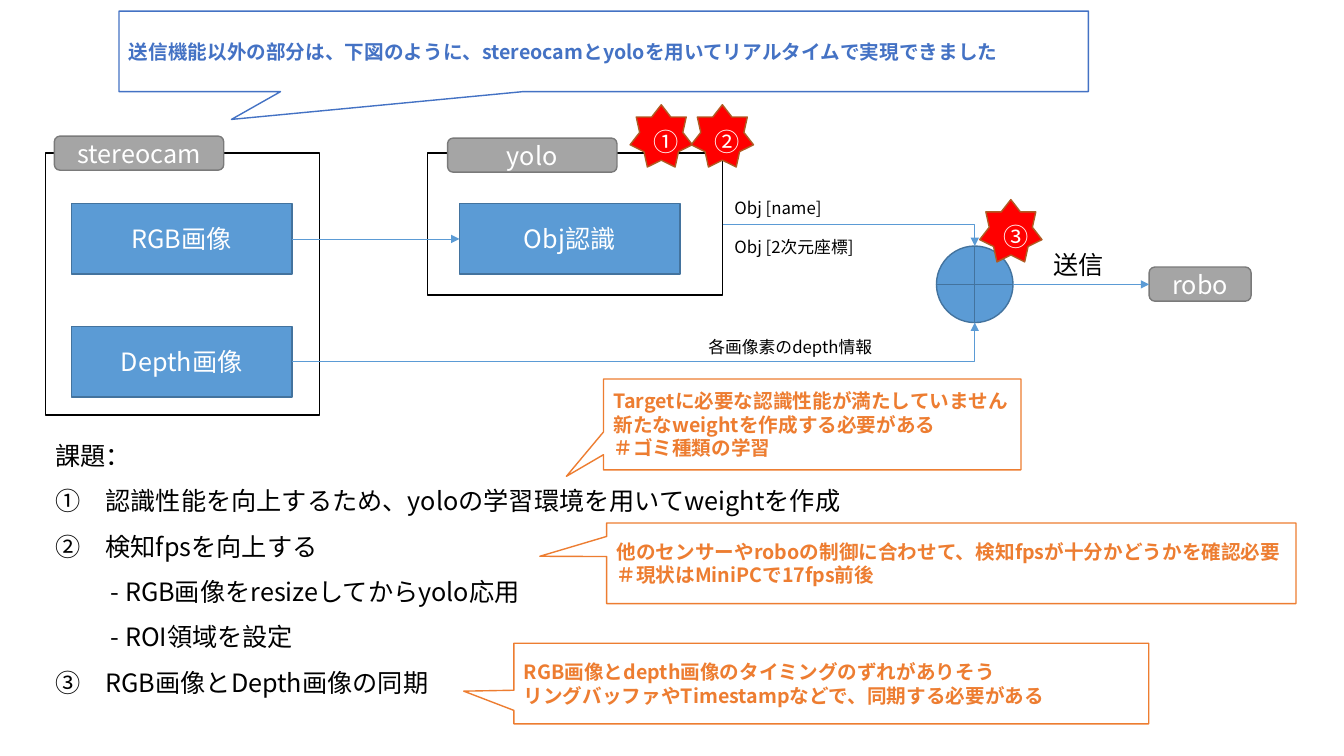
from pptx import Presentation
from pptx.dml.color import RGBColor
from pptx.enum.shapes import MSO_CONNECTOR, MSO_SHAPE
from pptx.enum.text import MSO_ANCHOR, PP_ALIGN
from pptx.oxml.ns import qn
from pptx.util import Cm, Pt
from lxml.etree import SubElement

FONT = "Noto Sans CJK JP"
BLACK = RGBColor(0, 0, 0)
WHITE = RGBColor(255, 255, 255)
GRAY = RGBColor(0xA5, 0xA5, 0xA5)
STEEL = RGBColor(0x7A, 0x7A, 0x7A)
SKY = RGBColor(0x5B, 0x9B, 0xD5)
NAVY = RGBColor(0x43, 0x73, 0x9E)
RED = RGBColor(255, 0, 0)
BROWN = RGBColor(0xAF, 0x5C, 0x24)
AMBER = RGBColor(0xED, 0x7D, 0x31)
BLUE = RGBColor(0x44, 0x72, 0xC4)

FRAMES = [(1.14, 3.86, 6.91, 6.6), (10.77, 3.86, 7.44, 3.58)]
TAGS = [
    ("stereocam", 1.37, 3.43, 4.27),
    ("yolo", 11.28, 3.48, 4.27),
    ("robo", 28.96, 6.73, 2.57),
]
TAG_H = 0.86
STEPS = [("RGB画像", 1.8, 5.13), ("Depth画像", 1.8, 8.23), ("Obj認識", 11.58, 5.13)]
STEP_W, STEP_H = 5.56, 1.78
NODE_X, NODE_Y, NODE_D = 23.6, 6.2, 1.93
STARS = [("①", 15.88, 2.64), ("②", 17.42, 2.64), ("③", 24.69, 5.03)]
STAR_D = 1.57
LABELS = [
    (["Obj [name]", "Obj [2次元座標]"], 18.26, 4.85, 7.67, 1.8, 12, 14),
    (["各画像素のdepth情報"], 17.6, 8.36, 7.67, 0.76, 12, 0),
    (["送信"], 26.29, 6.17, 2.74, 1.02, 18, 0),
]
ISSUES = [
    ("課題：", 0),
    ("①　認識性能を向上するため、yoloの学習環境を用いてweightを作成", 0),
    ("②　検知fpsを向上する", 0),
    ("- RGB画像をresizeしてからyolo応用", 1.4),
    ("- ROI領域を設定", 1.4),
    ("③　RGB画像とDepth画像の同期", 0),
]
NOTES = [
    (["RGB画像とdepth画像のタイミングのずれがありそう",
      "リングバッファやTimestampなどで、同期する必要がある"],
     (12.95, 16.21, 16, 2.03), (-0.579, 0.095), AMBER),
    (["Targetに必要な認識性能が満たしていません",
      "新たなweightを作成する必要がある", "＃ゴミ種類の学習"],
     (15.21, 9.55, 10.52, 2.29), (-0.589, 0.572), AMBER),
    (["他のセンサーやroboの制御に合わせて、検知fpsが十分かどうかを確認必要",
      "＃現状はMiniPCで17fps前後"],
     (15.29, 13.18, 17.37, 2.03), (-0.597, -0.087), AMBER),
    (["送信機能以外の部分は、下図のように、stereocamとyoloを用いてリアルタイムで実現できました"],
     (3, 0.28, 24.43, 2.03), (-0.384, 0.845), BLUE),
]

deck = Presentation()
deck.slide_width, deck.slide_height = Cm(33.87), Cm(19.05)
shapes = deck.slides.add_slide(deck.slide_layouts[6]).shapes


def write(frame, lines, size, color, align=PP_ALIGN.LEFT, bold=False, pitch=None):
    frame.word_wrap = True
    paras = []
    for i, line in enumerate(lines):
        para = frame.add_paragraph() if i else frame.paragraphs[0]
        para.alignment, para.line_spacing = align, pitch
        run = para.add_run()
        run.text = line
        font = run.font
        font.name, font.size, font.bold = FONT, Pt(size), bold
        font.color.rgb = color
        SubElement(font._element, qn("a:ea")).set("typeface", FONT)
        paras.append(para)
    return paras


def draw(kind, box, fill, edge):
    shape = shapes.add_shape(kind, *map(Cm, box))
    shape.shadow.inherit = False
    if fill is None:
        shape.fill.background()
    else:
        shape.fill.solid()
        shape.fill.fore_color.rgb = fill
    shape.line.color.rgb, shape.line.width = edge, Pt(1)
    shape.text_frame.vertical_anchor = MSO_ANCHOR.MIDDLE
    return shape


def badge(kind, text, box, fill, edge, pitch=None):
    shape = draw(kind, box, fill, edge)
    write(shape.text_frame, [text], 18, WHITE, PP_ALIGN.CENTER, pitch=pitch)


def label(lines, box, size, pitch=None):
    frame = shapes.add_textbox(*map(Cm, box)).text_frame
    return write(frame, lines, size, BLACK, pitch=pitch)


def arrow(start, end):
    bent = start[0] != end[0] and start[1] != end[1]
    kind = MSO_CONNECTOR.ELBOW if bent else MSO_CONNECTOR.STRAIGHT
    link = shapes.add_connector(kind, *map(Cm, start + end))
    link.line.color.rgb, link.line.width = SKY, Pt(0.5)
    props = link._element.spPr
    if bent:
        props.find(qn("a:prstGeom")).set("prst", "bentConnector2")
    SubElement(props.find(qn("a:ln")), qn("a:tailEnd")).set("type", "triangle")
    SubElement(props, qn("a:effectLst"))


for box in FRAMES:
    draw(MSO_SHAPE.RECTANGLE, box, None, BLACK)
for text, x, y, w in TAGS:
    badge(MSO_SHAPE.ROUNDED_RECTANGLE, text, (x, y, w, TAG_H), GRAY, STEEL)
for text, x, y in STEPS:
    badge(MSO_SHAPE.RECTANGLE, text, (x, y, STEP_W, STEP_H), SKY, NAVY)
draw(MSO_SHAPE.FLOWCHART_OR, (NODE_X, NODE_Y, NODE_D, NODE_D), SKY, NAVY)

(_, rgb_x, rgb_y), (_, _, depth_y), (_, obj_x, _) = STEPS
edge = rgb_x + STEP_W
row, low = rgb_y + STEP_H / 2, depth_y + STEP_H / 2
yolo_x, yolo_y, yolo_w, yolo_h = FRAMES[1]
mid_x, mid_y = NODE_X + NODE_D / 2, NODE_Y + NODE_D / 2
arrow((edge, row), (obj_x, row))
arrow((yolo_x + yolo_w, yolo_y + yolo_h / 2), (mid_x, NODE_Y))
arrow((edge, low), (mid_x, NODE_Y + NODE_D))
arrow((NODE_X + NODE_D, mid_y), (TAGS[2][1], mid_y))

for lines, x, y, w, h, size, gap in LABELS:
    for para in label(lines, (x, y, w, h), size)[1:]:
        para.space_before = Pt(gap)
for text, x, y in STARS:
    badge(MSO_SHAPE.STAR_7_POINT, text, (x, y, STAR_D, STAR_D), RED, BROWN, 1.5)

paras = label([text for text, _ in ISSUES], (1.14, 10.59, 21.62, 7.19), 18, 1.5)
for para, (_, indent) in zip(paras, ISSUES):
    if indent:
        para._p.get_or_add_pPr().set("marL", str(Cm(indent)))

for lines, box, tip, color in NOTES:
    note = draw(MSO_SHAPE.RECTANGULAR_CALLOUT, box, WHITE, color)
    note.adjustments[0], note.adjustments[1] = tip
    write(note.text_frame, lines, 14, color, bold=True)

deck.save("out.pptx")
